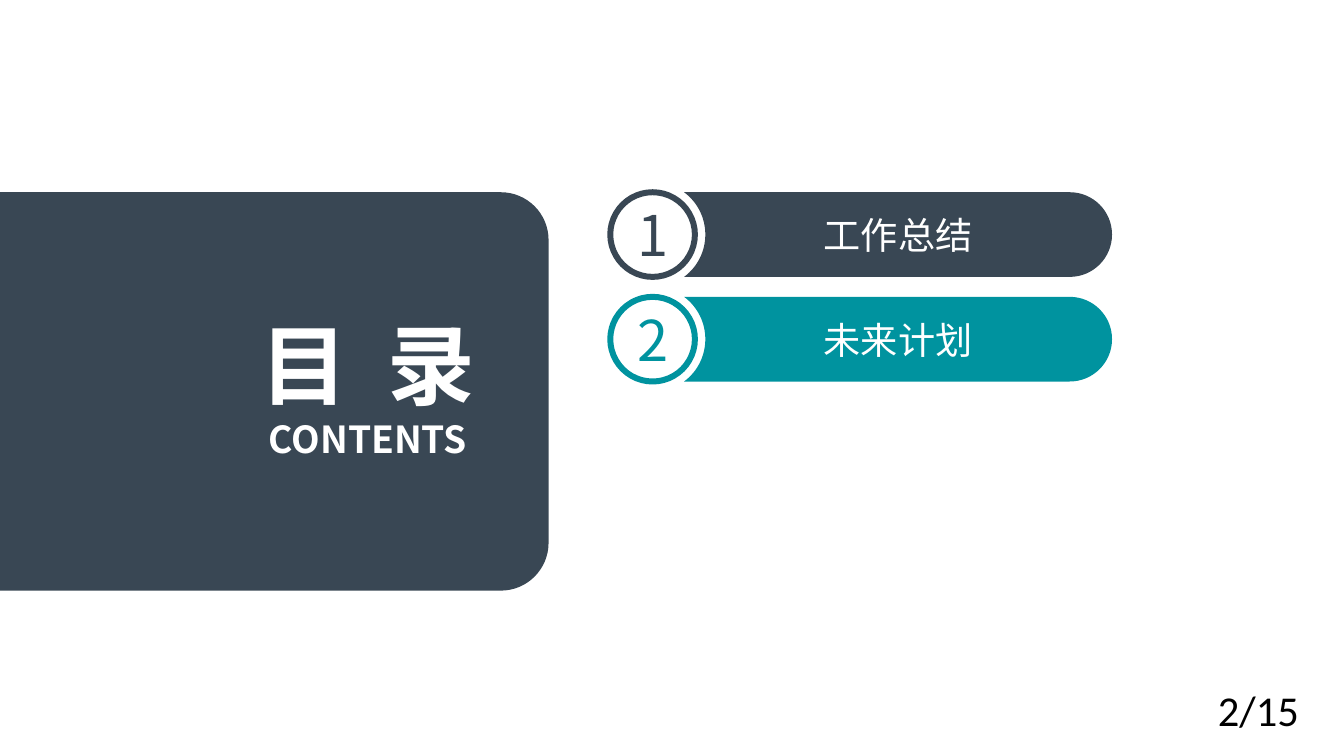
import math
from dataclasses import dataclass

import lxml.etree
import pptx
import pptx.dml.color
import pptx.enum.shapes
import pptx.enum.text
import pptx.oxml.ns
import pptx.util

RGB = pptx.dml.color.RGBColor
ALIGN = pptx.enum.text.PP_ALIGN
ANCHOR = pptx.enum.text.MSO_ANCHOR
FIT = pptx.enum.text.MSO_AUTO_SIZE
OVAL = pptx.enum.shapes.MSO_SHAPE.OVAL
qn = pptx.oxml.ns.qn
EMU_PER_PX = 9525

Point = tuple[float, float]
Segment = list[Point]  # one point for a line, three for a curve


@dataclass(frozen=True)
class Theme:
    slate: RGB = RGB(0x39, 0x47, 0x54)
    teal: RGB = RGB(0x00, 0x93, 0x9F)
    white: RGB = RGB(0xFF, 0xFF, 0xFF)
    black: RGB = RGB(0, 0, 0)
    cjk: str = "Noto Sans CJK SC"
    latin: str = "Calibri"
    title: float = 66
    label: float = 28
    number: float = 42.2
    page: float = 32
    ring: float = 4.5


@dataclass(frozen=True)
class Section:
    number: str
    label: str
    color: RGB


THEME = Theme()
SECTIONS = [
    Section("1", "工作总结", THEME.slate),
    Section("2", "未来计划", THEME.teal),
]
TOP, PITCH, BAR_H = 193, 105, 85
BADGE_LEFT, BAR_RIGHT, NOTCH_R = 613, 1117, 53
PANEL_W, PANEL_H, PANEL_R = 551, 400, 48


def px(n: float) -> pptx.util.Emu:
    return pptx.util.Emu(round(n * EMU_PER_PX))


def write(sp, text: str, *, size: float, color: RGB, font: str = THEME.cjk,
          bold: bool = False, align=ALIGN.CENTER, anchor=ANCHOR.MIDDLE,
          inset: bool = False, fit=FIT.NONE, spacing: float = 0) -> None:
    tf = sp.text_frame
    tf.word_wrap, tf.auto_size, tf.vertical_anchor = True, fit, anchor
    if not inset:
        tf.margin_left = tf.margin_top = tf.margin_right = tf.margin_bottom = 0
    p = tf.paragraphs[0]
    p.alignment = align
    r = p.add_run()
    r.text = text
    r.font.size, r.font.bold, r.font.name = pptx.util.Pt(size), bold, font
    r.font.color.rgb = color
    rpr = r.font._element
    lxml.etree.SubElement(rpr, qn("a:ea")).set("typeface", font)
    if spacing:
        rpr.set("spc", str(round(spacing * 100)))


def arc(cx: float, cy: float, radius: float, start: float, end: float) -> Segment:
    """Curve from the start angle to the end angle, in degrees."""
    a, b = math.radians(start), math.radians(end)
    k = 4 / 3 * math.tan((b - a) / 4)
    unit = [(math.cos(a) - k * math.sin(a), math.sin(a) + k * math.cos(a)),
            (math.cos(b) + k * math.sin(b), math.sin(b) - k * math.cos(b)),
            (math.cos(b), math.sin(b))]
    return [(cx + radius * x, cy + radius * y) for x, y in unit]


def outline(shapes, start: Point, segments: list[Segment], color: RGB):
    builder = shapes.build_freeform(px(start[0]), px(start[1]))
    builder.add_line_segments([(px(x), px(y)) for seg in segments for x, y in seg])
    sp = builder.convert_to_shape()

    # Join the three points of each curve
    lines = iter(list(sp.element.iter(qn("a:lnTo"))))
    for seg in segments:
        first, *others = [next(lines) for _ in seg]
        if others:
            first.tag = qn("a:cubicBezTo")
        for line in others:
            first.append(line[0])
            line.getparent().remove(line)

    sp.shadow.inherit = False
    sp.fill.solid()
    sp.fill.fore_color.rgb = color
    sp.line.fill.background()
    return sp


def text_box(shapes, left: int, top: int, width: int, height: int):
    return shapes.add_textbox(px(left), px(top), px(width), px(height))


def draw_section(shapes, section: Section, top: int) -> None:
    # Bar with a round end and a side that follows the badge
    half = BAR_H / 2
    cx, cy, cap_x = BADGE_LEFT + half, top + half, BAR_RIGHT - half
    sweep = math.degrees(math.asin(half / NOTCH_R))
    notch_x = cx + math.sqrt(NOTCH_R ** 2 - half ** 2)
    bar = outline(shapes, (notch_x, top), [
        [(cap_x, top)],
        arc(cap_x, cy, half, -90, 0),
        arc(cap_x, cy, half, 0, 90),
        [(notch_x, top + BAR_H)],
        arc(cx, cy, NOTCH_R, sweep, -sweep),
    ], section.color)
    write(bar, section.label, size=THEME.label, color=THEME.white)

    # Numbered badge
    badge = shapes.add_shape(OVAL, px(BADGE_LEFT), px(top), px(BAR_H), px(BAR_H))
    badge.shadow.inherit = False
    badge.fill.solid()
    badge.fill.fore_color.rgb = THEME.white
    badge.line.color.rgb = section.color
    badge.line.width = pptx.util.Pt(THEME.ring)
    write(badge, section.number, size=THEME.number, color=section.color)


def main() -> None:
    prs = pptx.Presentation()
    prs.slide_width, prs.slide_height = px(1350), px(759)
    slide = prs.slides.add_slide(prs.slide_layouts[5])
    shapes = slide.shapes

    # Panel, rounded on the right
    bottom, corner_x = TOP + PANEL_H, PANEL_W - PANEL_R
    outline(shapes, (0, TOP), [
        [(corner_x, TOP)],
        arc(corner_x, TOP + PANEL_R, PANEL_R, -90, 0),
        [(PANEL_W, bottom - PANEL_R)],
        arc(corner_x, bottom - PANEL_R, PANEL_R, 0, 90),
        [(0, bottom)],
    ], THEME.slate)

    # Sections
    for i, section in enumerate(SECTIONS):
        draw_section(shapes, section, TOP + i * PITCH)

    # Title, brought in front of the panel
    title = shapes.title
    title.left, title.top, title.width, title.height = px(219), px(311), px(301), px(107)
    title.element.getparent().append(title.element)
    write(title, "目 录", size=THEME.title, color=THEME.white, bold=True,
          fit=FIT.SHAPE_TO_FIT_TEXT, spacing=7.2)

    # Subtitle
    write(text_box(shapes, 220, 418, 299, 45), "CONTENTS", size=THEME.label,
          color=THEME.white, bold=True, anchor=ANCHOR.TOP, fit=FIT.SHAPE_TO_FIT_TEXT)

    # Page number
    write(text_box(shapes, 1214, 682, 136, 58), "2/15", size=THEME.page,
          color=THEME.black, font=THEME.latin, align=ALIGN.LEFT,
          anchor=ANCHOR.TOP, inset=True)

    prs.save("out.pptx")


if __name__ == "__main__":
    main()
